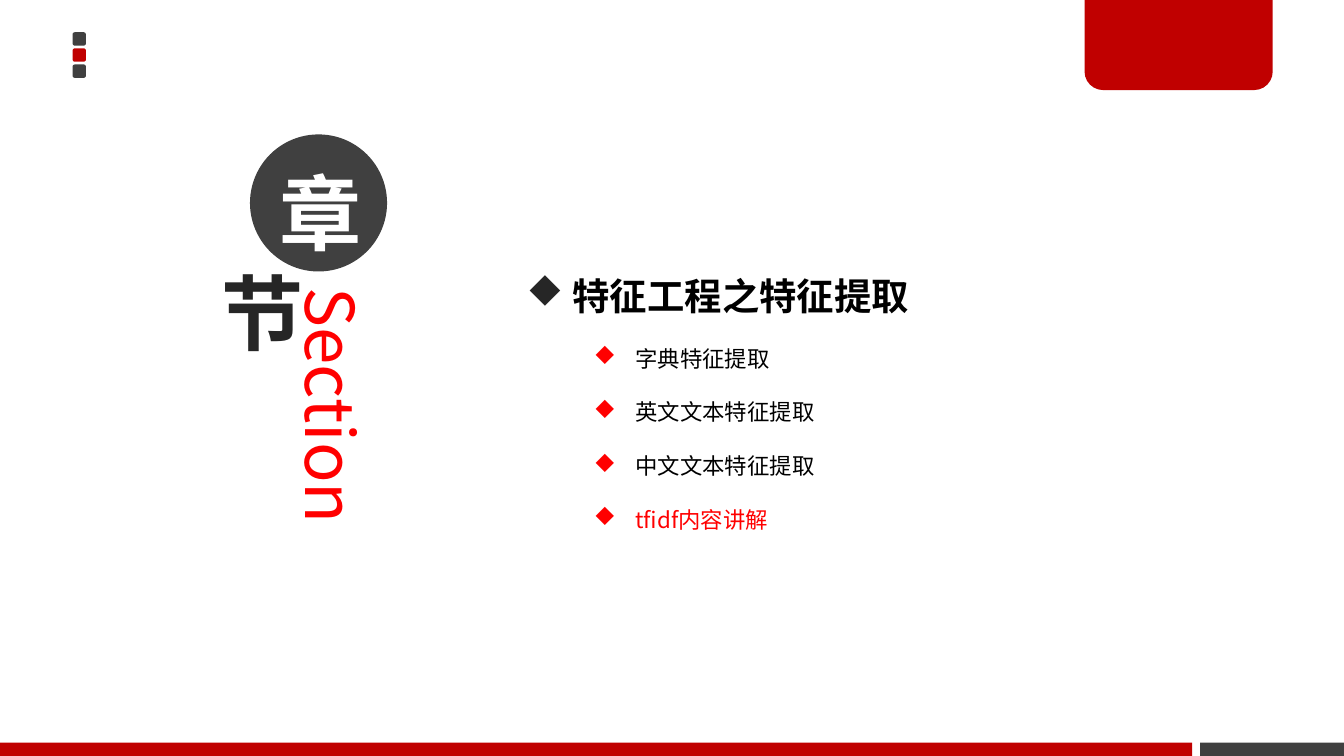
from lxml import etree
from pptx import Presentation
from pptx.dml.color import RGBColor
from pptx.enum import shapes, text
from pptx.oxml.ns import qn
from pptx.util import Inches, Pt

THEME = {
    "font": "Noto Sans CJK SC", "bullet": "Wingdings",
    "dark": "404040", "brand": "C00000", "ink": "262626",
    "alert": "FF0000", "black": "000000", "white": "FFFFFF",
    "badge": 44, "side": 36, "head": 20, "item": 12,
}
KIND = shapes.MSO_SHAPE
WIDTH = 10
HEIGHT = WIDTH * 9 / 16

DOTS = ["dark", "brand", "dark"]
BARS = [(0, 8.87, "brand"), (8.93, 1.07, "dark")]
HEAD = " 特征工程之特征提取"
ITEMS = [
    ("字典特征提取", "black"),
    ("英文文本特征提取", "black"),
    ("中文文本特征提取", "black"),
    ("tfidf内容讲解", "alert"),
]


def color(name):
    return RGBColor.from_string(THEME[name])


def add_shape(slide, kind, box, fill=None, adjust=()):
    shape = slide.shapes.add_shape(kind, *map(Inches, box))
    shape.shadow.inherit = False
    shape.line.fill.background()
    if fill:
        shape.fill.solid()
        shape.fill.fore_color.rgb = color(fill)
    else:
        shape.fill.background()
    for i, value in enumerate(adjust):
        shape.adjustments[i] = value
    return shape


def set_frame(shape, bottom=0.04):
    frame = shape.text_frame
    frame.word_wrap = True
    frame.margin_left = frame.margin_right = Inches(0.07)
    frame.margin_top, frame.margin_bottom = Inches(0.04), Inches(bottom)
    return frame


def add_run(para, words, size, tint, bold=False):
    run = para.add_run()
    run.text = words
    font = run.font
    font.name, font.size, font.bold = THEME["font"], Pt(THEME[size]), bold
    font.color.rgb = color(tint)
    east = etree.SubElement(font._element, qn("a:ea"))
    east.set("typeface", THEME["font"])


def add_badge(slide, box, word, tint, fill=None, bottom=0.04):
    shape = add_shape(slide, KIND.OVAL, box, fill)
    frame = set_frame(shape, bottom)
    frame.vertical_anchor = text.MSO_ANCHOR.MIDDLE
    para = frame.paragraphs[0]
    para.alignment = text.PP_ALIGN.CENTER
    add_run(para, word, "badge", tint, True)
    return para


def set_bullet(para, left, hang, tint):
    """Give the paragraph a diamond bullet (Wingdings u) on a hanging indent."""
    para.line_spacing = 2.0
    props = para._p.get_or_add_pPr()
    props.set("marL", str(Inches(left)))
    props.set("indent", str(-Inches(hang)))
    hue = etree.SubElement(props, qn("a:buClr"))
    etree.SubElement(hue, qn("a:srgbClr")).set("val", THEME[tint])
    face = etree.SubElement(props, qn("a:buFont"))
    face.set("typeface", THEME["bullet"])
    face.set("charset", "2")
    etree.SubElement(props, qn("a:buChar")).set("char", "u")


def add_list(slide):
    box = slide.shapes.add_textbox(*map(Inches, (3.82, 1.65, 5.2, 2.33)))
    frame = box.text_frame
    frame.word_wrap = True
    frame.auto_size = text.MSO_AUTO_SIZE.SHAPE_TO_FIT_TEXT
    para = frame.paragraphs[0]
    set_bullet(para, 0.19, 0.19, "ink")
    add_run(para, HEAD, "head", "black", True)
    for words, tint in ITEMS:
        para = frame.add_paragraph()
        para.level = 1
        set_bullet(para, 0.81, 0.31, "alert")
        add_run(para, words, "item", tint)


def main():
    deck = Presentation()
    deck.slide_width, deck.slide_height = Inches(WIDTH), Inches(HEIGHT)
    slide = deck.slides.add_slide(deck.slide_layouts[6])

    for i, tint in enumerate(DOTS):
        box = (0.54, 0.24 + 0.12 * i, 0.1, 0.1)
        add_shape(slide, KIND.ROUNDED_RECTANGLE, box, tint, [0.17])
    for left, width, tint in BARS:
        add_shape(slide, KIND.RECTANGLE, (left, HEIGHT - 0.1, width, 0.1), tint)
    add_shape(slide, KIND.ROUND_2_SAME_RECTANGLE, (8.07, -0.02, 1.4, 0.69),
              "brand", [0, 0.2])

    side = slide.shapes.add_textbox(*map(Inches, (2.14, 2.1, 0.7, 2.89)))
    frame = set_frame(side)
    frame._txBody.bodyPr.set("vert", "vert")
    add_run(frame.paragraphs[0], "Section", "side", "alert")

    para = add_badge(slide, (1.86, 1, 1.02, 1.02), "章", "white", "dark", 0.15)
    para.line_spacing = Pt(70)
    add_badge(slide, (1.46, 1.92, 0.8, 0.8), "节", "ink")
    add_list(slide)
    deck.save("out.pptx")


if __name__ == "__main__":
    main()
